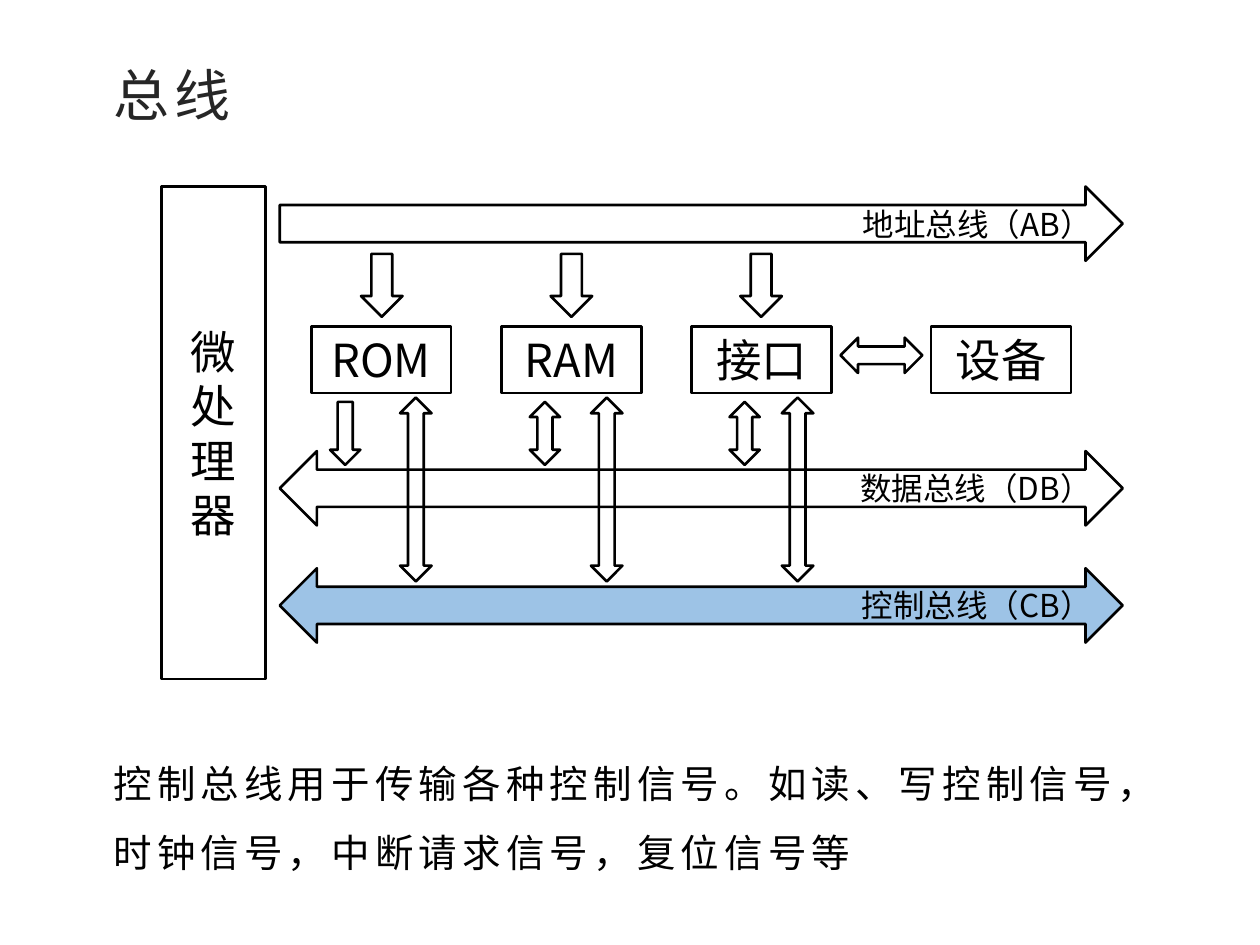
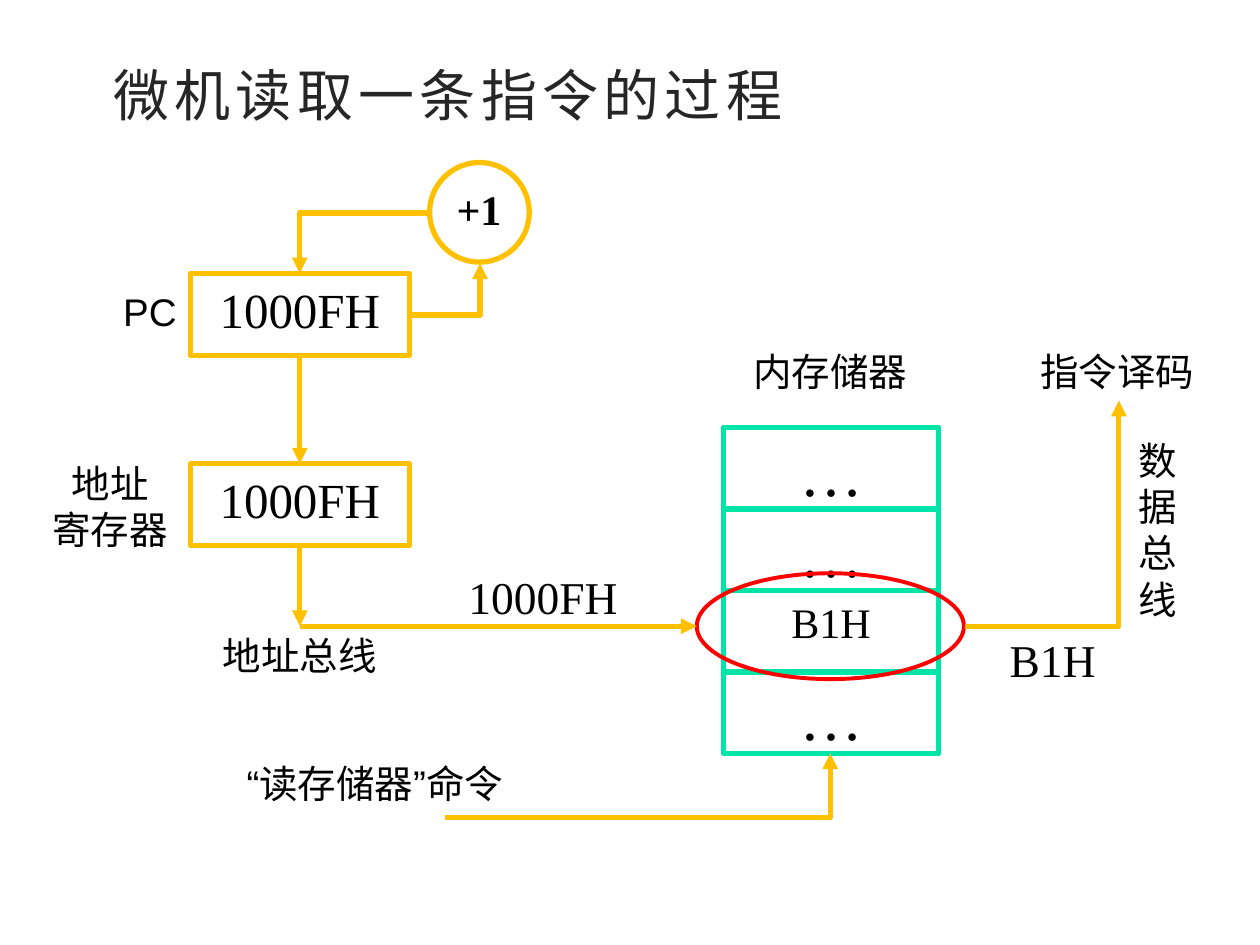
from lxml import etree
from pptx import Presentation
from pptx.dml.color import RGBColor
from pptx.enum.shapes import MSO_CONNECTOR, MSO_SHAPE
from pptx.enum.text import MSO_ANCHOR, MSO_AUTO_SIZE, PP_ALIGN
from pptx.oxml.ns import qn
from pptx.util import Inches, Pt

LEFT, CENTER, RIGHT = PP_ALIGN.LEFT, PP_ALIGN.CENTER, PP_ALIGN.RIGHT
TOP, MIDDLE = MSO_ANCHOR.TOP, MSO_ANCHOR.MIDDLE
RECT, OVAL, BLOCK = MSO_SHAPE.RECTANGLE, MSO_SHAPE.OVAL, MSO_SHAPE.FLOWCHART_PROCESS
ARROW, DOUBLE_ARROW = MSO_SHAPE.RIGHT_ARROW, MSO_SHAPE.LEFT_RIGHT_ARROW
FIT, NO_FIT = MSO_AUTO_SIZE.SHAPE_TO_FIT_TEXT, MSO_AUTO_SIZE.NONE
STRAIGHT, ELBOW = MSO_CONNECTOR.STRAIGHT, MSO_CONNECTOR.ELBOW

COLORS = {
    "title": "262626",
    "text": "000000",
    "white": "FFFFFF",
    "control": "9DC3E6",
    "flow": "FFC000",
    "memory": "00E4A8",
    "accent": "FF0000",
}
CJK, SANS, SERIF = "Noto Sans CJK SC", "Arial", "Times New Roman"
RECT_TOP, RECT_BOTTOM, RECT_RIGHT = 0, 2, 3
OVAL_LEFT, OVAL_BOTTOM, OVAL_RIGHT = 2, 4, 6


def rgb(name):
    return RGBColor.from_string(COLORS[name])


def style(p, size, font, align=LEFT, color="text", bold=False, spacing=0):
    p.alignment = align
    p.font.size = Pt(size)
    p.font.bold = bold
    p.font.color.rgb = rgb(color)
    p.font.name = font
    props = p._p.pPr.find(qn("a:defRPr"))
    etree.SubElement(props, qn("a:ea")).set("typeface", font)
    if spacing:
        props.set("spc", str(spacing * 100))


def place(sp, box):
    sp.left, sp.top, sp.width, sp.height = map(Inches, box)


def add_title(s, text):
    place(s.shapes.title, (0.8, 0.43, 8.58, 0.64))
    tf = s.shapes.title.text_frame
    tf.text = text
    tf.auto_size = NO_FIT
    tf.vertical_anchor = MIDDLE
    style(tf.paragraphs[0], 32, CJK, color="title", spacing=3)


def add_body(s, text, box):
    body = s.placeholders[1]
    place(body, box)
    tf = body.text_frame
    tf.text = text
    tf.auto_size = NO_FIT
    p = tf.paragraphs[0]
    p.line_spacing = 1.5
    p.space_before = Pt(0)
    props = p._p.get_or_add_pPr()
    props.set("marL", "0")
    props.set("indent", "0")
    etree.SubElement(props, qn("a:buNone"))
    style(p, 22, CJK, spacing=3)


def add_shape(shapes, kind, box, line, width, fill=None):
    sp = shapes.add_shape(kind, *map(Inches, box))
    sp.shadow.inherit = False
    sp.line.color.rgb = rgb(line)
    sp.line.width = Pt(width)
    if fill:
        sp.fill.solid()
        sp.fill.fore_color.rgb = rgb(fill)
    else:
        sp.fill.background()
    return sp


def write(sp, text, size, font, align=CENTER, anchor=TOP, bold=False):
    tf = sp.text_frame
    tf.text = text
    tf.word_wrap = True
    tf.vertical_anchor = anchor
    style(tf.paragraphs[0], size, font, align, bold=bold)


def add_label(s, text, box, size=22, font=SANS, align=CENTER, wrap=False):
    tf = s.shapes.add_textbox(*map(Inches, box)).text_frame
    tf.text = text
    tf.word_wrap = wrap
    tf.auto_size = FIT
    for p in tf.paragraphs:
        style(p, size, font, align)


def add_flow(s, start, end, kind=STRAIGHT, source=None, target=None):
    c = s.shapes.add_connector(kind, *map(Inches, start + end))
    c.line.color.rgb = rgb("flow")
    c.line.width = Pt(3)
    props = c._element.spPr
    etree.SubElement(props.find(qn("a:ln")), qn("a:tailEnd")).set("type", "triangle")
    etree.SubElement(props, qn("a:effectLst"))
    if kind == ELBOW:
        props.find(qn("a:prstGeom")).set("prst", "bentConnector2")
    links = c._element.nvCxnSpPr.cNvCxnSpPr
    for tag, link in (("a:stCxn", source), ("a:endCxn", target)):
        if link:
            sp, site = link
            glue = etree.SubElement(links, qn(tag))
            glue.set("id", str(sp.shape_id))
            glue.set("idx", str(site))


def bus_diagram(s, x, y):
    shapes = s.shapes.add_group_shape().shapes

    def part(kind, box, fill="white", vertical=False):
        left, top, width, height = box
        sp = add_shape(shapes, kind, (x + left, y + top, width, height), "text", 1.5, fill)
        if vertical:
            sp.rotation = 90
        return sp

    def block(text, box):
        write(part(BLOCK, box), text, 26, CJK, anchor=MIDDLE)

    for i in range(3):
        part(DOUBLE_ARROW, (1.29 + 1.515 * i, 2.28, 1.46, 0.25), None, True)

    block("微处理器", (0, 0, 0.83, 3.91))
    for text, left in (("ROM", 1.19), ("RAM", 2.7), ("接口", 4.21), ("设备", 6.11)):
        block(text, (left, 1.11, 1.11, 0.53))

    for i, kind in enumerate((ARROW, DOUBLE_ARROW, DOUBLE_ARROW)):
        part(ARROW, (1.5 + 1.505 * i, 0.62, 0.5, 0.33), vertical=True)
        part(kind, (1.21 + 1.585 * i, 1.84, 0.5, 0.24), vertical=True)
    part(DOUBLE_ARROW, (5.39, 1.2, 0.65, 0.28))

    buses = (
        ("地址总线（AB）", ARROW, 0, None),
        ("数据总线（DB）", DOUBLE_ARROW, 2.1, None),
        ("控制总线（CB）", DOUBLE_ARROW, 3.03, "control"),
    )
    for text, kind, top, fill in buses:
        bus = part(kind, (0.94, top, 6.69, 0.59), fill)
        write(bus, text, 18, CJK, RIGHT, MIDDLE)


def memory(s, x, y):
    shapes = s.shapes.add_group_shape().shapes
    width, height = 1.71, 0.65
    for i, text in enumerate(("…", "…", "B1H", "…")):
        box = (x, y + 0.647 * i, width, height)
        cell = add_shape(shapes, RECT, box, "memory", 3)
        write(cell, text, 24 if text == "B1H" else 36, SERIF)
    add_label(s, "内存储器", (x + 0.14, y - 0.68, 1.44, 0.47), align=LEFT)
    ring = add_shape(s.shapes, OVAL, (x - 0.21, y + 1.16, 2.12, 0.84), "accent", 2.25)
    return cell, ring


def registers(s, x, y):
    width, height = 1.74, 0.65
    middle = x + width / 2
    counter, address = [
        add_shape(s.shapes, RECT, (x, y + top, width, height), "flow", 3)
        for top in (0, 1.51)
    ]
    for register in (counter, address):
        write(register, "1000FH", 28, SERIF)
    add_label(s, "PC", (x - 0.63, y + 0.07, 0.63, 0.47), align=LEFT)
    add_label(s, "地址\n寄存器", (x - 1.2, y + 1.43, 1.13, 0.84))

    step = add_shape(s.shapes, OVAL, (x + 1.9, y - 0.88, 0.79, 0.79), "flow", 3)
    write(step, "+1", 24, SERIF, LEFT, bold=True)
    add_flow(s, (x + width, y + 0.33), (x + 2.3, y - 0.08), ELBOW,
             (counter, RECT_RIGHT), (step, OVAL_BOTTOM))
    add_flow(s, (x + 1.9, y - 0.48), (middle, y), ELBOW,
             (step, OVAL_LEFT), (counter, RECT_TOP))
    add_flow(s, (middle, y + height), (middle, y + 1.51))
    add_flow(s, (middle, y + 2.16), (middle, y + 2.8))


def buses(s, x, y, last_cell, ring):
    add_flow(s, (x, y), (x + 3.15, y))
    add_label(s, "地址总线", (x - 0.72, y, 1.44, 0.47))
    add_label(s, "1000FH", (x + 1.23, y - 0.5, 1.4, 0.54), 26, SERIF)

    add_flow(s, (x + 1.15, y + 1.52), (x + 4.21, y + 1.01), ELBOW,
             target=(last_cell, RECT_BOTTOM))
    add_label(s, "“读存储器”命令", (x - 0.74, y + 1.01, 2.67, 0.47))

    add_flow(s, (x + 5.28, y), (x + 6.5, y - 1.79), ELBOW, source=(ring, OVAL_RIGHT))
    add_label(s, "指令译码", (x + 5.78, y - 2.26, 1.44, 0.47), align=LEFT)
    add_label(s, "数据总线", (x + 6.56, y - 1.55, 0.59, 1.58), align=LEFT, wrap=True)
    add_label(s, "B1H", (x + 5.53, y, 0.89, 0.54), 26, SERIF)


def bus_slide(prs):
    s = prs.slides.add_slide(prs.slide_layouts[1])
    add_title(s, "总线")
    add_body(s, "控制总线用于传输各种控制信号。如读、写控制信号，时钟信号，中断请求信号，复位信号等",
             (0.8, 5.8, 8.58, 1.12))
    bus_diagram(s, 1.28, 1.48)


def fetch_slide(prs):
    s = prs.slides.add_slide(prs.slide_layouts[5])
    add_title(s, "微机读取一条指令的过程")
    last_cell, ring = memory(s, 5.74, 3.39)
    registers(s, 1.51, 2.17)
    buses(s, 2.38, 4.97, last_cell, ring)


def main():
    prs = Presentation()
    prs.slide_width, prs.slide_height = Inches(10), Inches(7.5)
    bus_slide(prs)
    fetch_slide(prs)
    prs.save("out.pptx")


if __name__ == "__main__":
    main()
